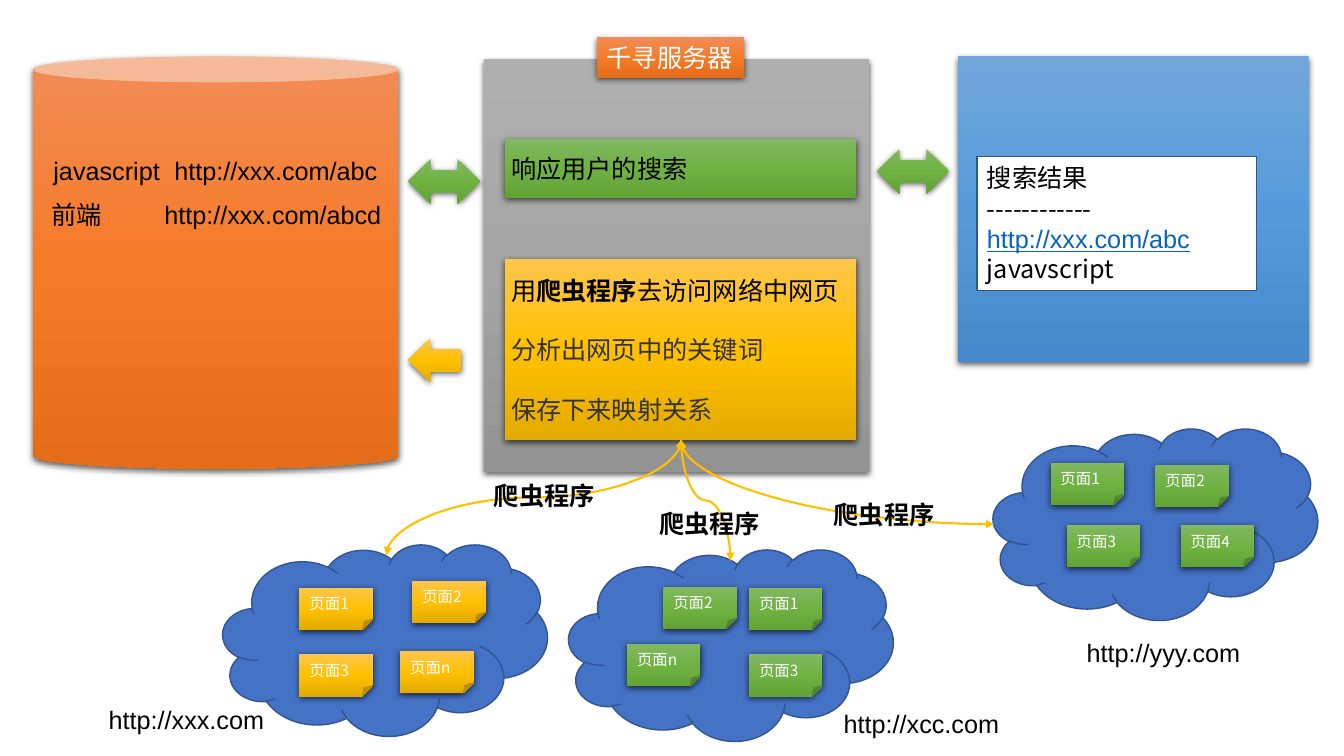
from pptx import Presentation
from pptx.util import Inches, Pt
from pptx.dml.color import RGBColor
from pptx.enum.shapes import MSO_CONNECTOR, MSO_SHAPE
from pptx.enum.text import MSO_ANCHOR, PP_ALIGN
from pptx.oxml import parse_xml
from pptx.oxml.ns import nsdecls, qn
from lxml.etree import SubElement

WHITE = RGBColor(0xFF, 0xFF, 0xFF)
BLACK = RGBColor(0, 0, 0)
DARK = RGBColor(0x33, 0x33, 0x33)
LINK = RGBColor(0x05, 0x63, 0xC1)
CLOUD = RGBColor(0x44, 0x72, 0xC4)
OUTLINE = RGBColor(0x32, 0x54, 0x91)
GOLD = RGBColor(0xFF, 0xC0, 0x00)
GRAYS = (RGBColor(0xAF, 0xAF, 0xAF), RGBColor(0xA5, 0xA5, 0xA5), RGBColor(0x93, 0x93, 0x93))
ORANGES = (RGBColor(0xF1, 0x8C, 0x57), RGBColor(0xF6, 0x7B, 0x28), RGBColor(0xE5, 0x6C, 0x19))
YELLOWS = (RGBColor(0xFF, 0xC6, 0x4B), GOLD, RGBColor(0xE3, 0xAB, 0x00))
GREENS = (RGBColor(0x81, 0xB8, 0x61), RGBColor(0x6F, 0xB2, 0x42), RGBColor(0x62, 0xA3, 0x36))
BLUES = (RGBColor(0x71, 0xA6, 0xDB), RGBColor(0x55, 0x9B, 0xDB), RGBColor(0x44, 0x8A, 0xCA))
CJK = "Noto Sans CJK SC"


def add_text(p, text, size=18, font="Arial", color=BLACK, bold=False, underline=False):
    p.alignment = PP_ALIGN.LEFT
    r = p.add_run()
    r.text = text
    f = r.font
    f.size, f.name, f.bold, f.underline = Pt(size), font, bold, underline
    f.color.rgb = color
    SubElement(f._element, qn("a:ea")).set("typeface", CJK)


def set_insets(tf, left, top, right, bottom):
    tf.margin_left, tf.margin_top = Inches(left), Inches(top)
    tf.margin_right, tf.margin_bottom = Inches(right), Inches(bottom)


def add_block(s, kind, box, colors):
    sp = s.shapes.add_shape(kind, *map(Inches, box))
    sp.fill.gradient()
    sp.fill.gradient_angle = 270
    stops = sp._element.spPr.find(qn("a:gradFill")).find(qn("a:gsLst"))
    stops.clear()
    for i, color in enumerate(colors):
        stops.append(parse_xml(
            f'<a:gs {nsdecls("a")} pos="{i * 50000}"><a:srgbClr val="{color}"/></a:gs>'))
    sp.line.fill.background()
    sp.shadow.inherit = False
    sp._element.spPr.find(qn("a:effectLst")).append(parse_xml(
        f'<a:outerShdw {nsdecls("a")} blurRad="57150" dist="19050" dir="5400000" algn="ctr" '
        'rotWithShape="0"><a:srgbClr val="000000"><a:alpha val="63000"/></a:srgbClr></a:outerShdw>'))
    return sp


def add_flat(s, kind, box, color):
    sp = s.shapes.add_shape(kind, *map(Inches, box))
    sp.shadow.inherit = False
    sp.fill.solid()
    sp.fill.fore_color.rgb = color
    sp.line.color.rgb = OUTLINE
    sp.line.width = Pt(1)
    return sp


def add_label(s, box, text, **fmt):
    tf = s.shapes.add_textbox(*map(Inches, box)).text_frame
    tf.word_wrap = False
    add_text(tf.paragraphs[0], text, **fmt)


def add_index(s, box):
    x, y, w, h = box
    add_block(s, MSO_SHAPE.CAN, box, ORANGES).adjustments[0] = 0.071
    entries = (("javascript", "http://xxx.com/abc", 0.2, 0.84, 1.2),
               ("前端", "http://xxx.com/abcd", 0.18, 1.28, 1.12))
    for word, address, dx, dy, tab in entries:
        tf = s.shapes.add_textbox(Inches(x + dx), Inches(y + dy), Inches(3.54), Inches(0.58)).text_frame
        tf.word_wrap = True
        tf.vertical_anchor = MSO_ANCHOR.MIDDLE
        set_insets(tf, 0, 0.14, 0, 0.14)
        p = tf.paragraphs[0]
        add_text(p, f"{word}\t{address}")
        tabs = SubElement(p._p.get_or_add_pPr(), qn("a:tabLst"))
        SubElement(tabs, qn("a:tab"), pos=str(Inches(tab)), algn="l")


def add_server(s, box):
    x, y, w, h = box
    add_block(s, MSO_SHAPE.RECTANGLE, box, GRAYS)
    name = add_block(s, MSO_SHAPE.RECTANGLE, (x + 1.12, y - 0.22, 1.46, 0.4), ORANGES)
    name.text_frame.word_wrap = False
    add_text(name.text_frame.paragraphs[0], "千寻服务器", font=CJK, color=WHITE)
    search = [[("响应用户的搜索", {})]]
    crawl = [[("用", {}), ("爬虫程序", {"bold": True}), ("去访问网络中网页", {})],
             [("分析出网页中的关键词", {"font": "Open Sans", "color": DARK})],
             [("保存下来映射关系", {"font": "Open Sans", "color": DARK})]]
    for dy, height, colors, lines in ((0.79, 0.58, GREENS, search), (1.98, 1.8, YELLOWS, crawl)):
        sp = add_block(s, MSO_SHAPE.RECTANGLE, (x + 0.21, y + dy, 3.48, height), colors)
        tf = sp.text_frame
        tf.vertical_anchor = MSO_ANCHOR.MIDDLE
        set_insets(tf, 0.06, 0.14, 0, 0.14)
        for i, line in enumerate(lines):
            p = tf.add_paragraph() if i else tf.paragraphs[0]
            p.space_before = Pt(21 if i else 0)
            for text, fmt in line:
                add_text(p, text, **fmt)


def add_browser(s, box):
    x, y, w, h = box
    add_block(s, MSO_SHAPE.RECTANGLE, box, BLUES)
    page = add_flat(s, MSO_SHAPE.RECTANGLE, (x + 0.19, y + 0.99, 2.77, 1.33), WHITE)
    tf = page.text_frame
    tf.vertical_anchor = MSO_ANCHOR.MIDDLE
    lines = (("搜索结果", {}), ("------------", {"font": CJK}),
             ("http://xxx.com/abc", {"color": LINK, "underline": True}),
             ("javavscript", {"font": CJK}))
    for i, (text, fmt) in enumerate(lines):
        add_text(tf.add_paragraph() if i else tf.paragraphs[0], text, **fmt)


def add_site(s, box, address, address_at, colors, pages):
    x, y, w, h = box
    add_flat(s, MSO_SHAPE.CLOUD, box, CLOUD)
    for number, dx, dy in pages:
        card = add_block(s, MSO_SHAPE.FOLDED_CORNER, (x + dx, y + dy, 0.73, 0.42), colors)
        fold = card._element.spPr.find(qn("a:prstGeom")).get_or_add_avLst()
        SubElement(fold, qn("a:gd"), name="adj", fmla="val 25700")
        card.text_frame.vertical_anchor = MSO_ANCHOR.MIDDLE
        add_text(card.text_frame.paragraphs[0], f"页面{number}", size=11, font=CJK, color=WHITE)
    dx, dy = address_at
    add_label(s, (x + dx, y + dy, 1.76, 0.4), address)


def add_crawl_link(s, box, turn, preset="curvedConnector3", flip=False):
    x, y, w, h = map(Inches, box)
    c = s.shapes.add_connector(MSO_CONNECTOR.CURVE, x, y, x + w, y + h)
    c.line.color.rgb = GOLD
    c.line.width = Pt(1.5)
    spPr = c._element.spPr
    xfrm = spPr.find(qn("a:xfrm"))
    xfrm.set("rot", str(turn * 60000))
    if flip:
        xfrm.set("flipH", "1")
    spPr.find(qn("a:prstGeom")).set("prst", preset)
    ln = spPr.find(qn("a:ln"))
    for end in ("a:headEnd", "a:tailEnd"):
        SubElement(ln, qn(end), type="triangle")
    SubElement(spPr, qn("a:effectLst"))


def main():
    prs = Presentation()
    prs.slide_width, prs.slide_height = Inches(13.33), Inches(7.5)
    s = prs.slides.add_slide(prs.slide_layouts[6])
    add_index(s, (0.33, 0.56, 3.62, 4.09))
    add_server(s, (4.8, 0.59, 3.82, 4.09))
    add_browser(s, (9.5, 0.56, 3.48, 3.03))
    add_block(s, MSO_SHAPE.LEFT_RIGHT_ARROW, (4.05, 1.58, 0.71, 0.44), GREENS)
    add_block(s, MSO_SHAPE.LEFT_RIGHT_ARROW, (8.7, 1.48, 0.71, 0.44), GREENS)
    add_block(s, MSO_SHAPE.LEFT_ARROW, (4.05, 3.36, 0.52, 0.43), YELLOWS)
    add_site(s, (2.21, 5.4, 3.22, 1.9), "http://xxx.com", (-1.23, 1.54), YELLOWS,
             ((1, 0.76, 0.43), (2, 1.88, 0.36), (3, 0.76, 1.09), ("n", 1.76, 1.06)))
    add_site(s, (5.64, 5.45, 3.22, 1.9), "http://xcc.com", (2.63, 1.53), GREENS,
             ((1, 1.79, 0.38), (2, 0.94, 0.37), (3, 1.79, 1.04), ("n", 0.58, 0.94)))
    add_site(s, (9.85, 4.25, 3.22, 1.9), "http://yyy.com", (0.83, 2.02), GREENS,
             ((1, 0.57, 0.34), (2, 1.61, 0.36), (3, 0.73, 0.96), (4, 1.86, 0.96)))
    add_crawl_link(s, (4.72, 3.47, 1.15, 2.93), 90)
    add_crawl_link(s, (6.4, 4.72, 1.2, 0.49), 270, flip=True)
    add_crawl_link(s, (6.75, 4.36, 3.11, 0.84), 180, preset="curvedConnector2")
    for x, y in ((4.8, 4.72), (6.44, 4.99), (8.17, 4.9)):
        add_label(s, (x, y, 1.21, 0.4), "爬虫程序", bold=True)
    prs.save("out.pptx")


if __name__ == "__main__":
    main()
